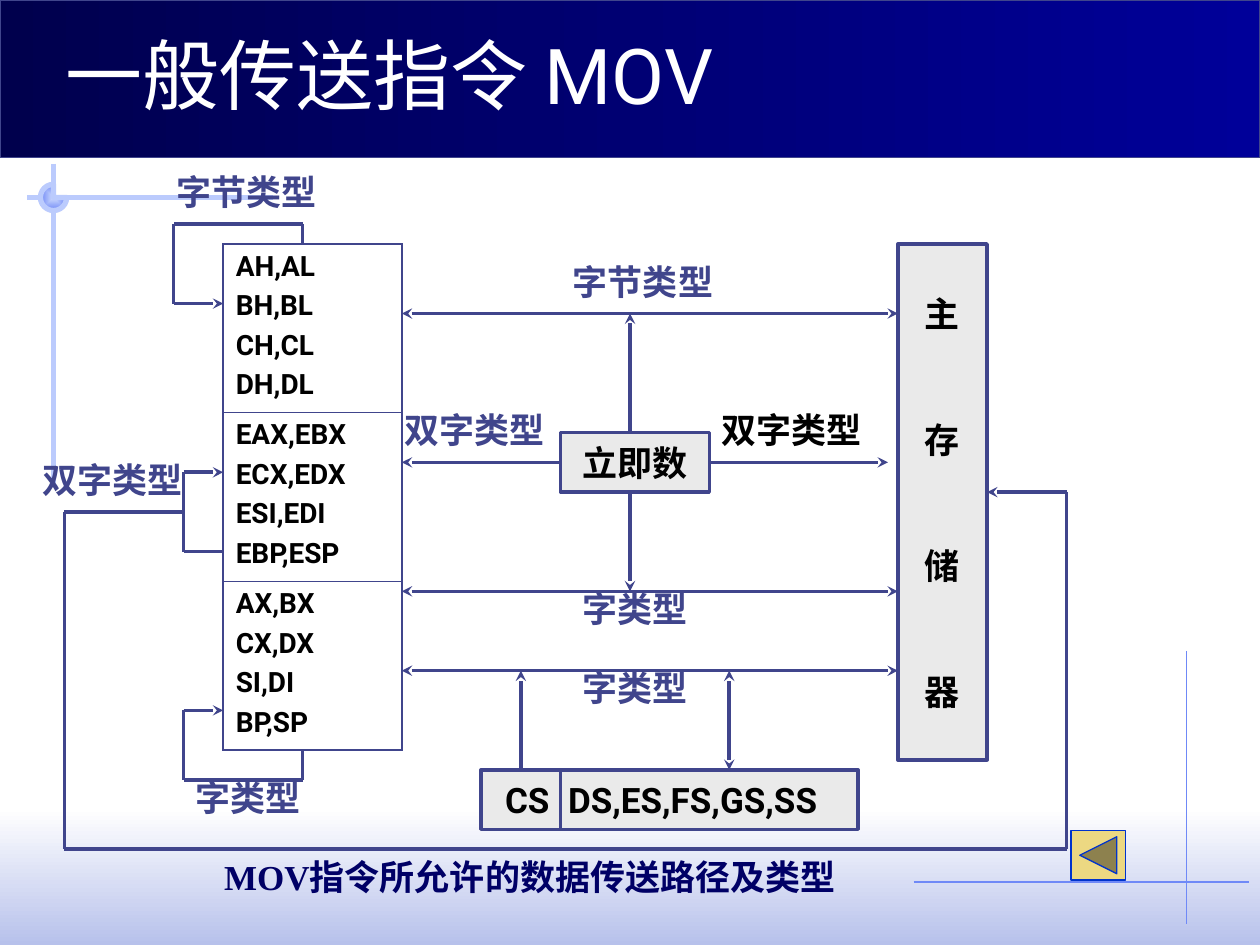
import dataclasses

import lxml.etree
import pptx
import pptx.dml.color
import pptx.enum.shapes
import pptx.enum.text
import pptx.oxml.ns
import pptx.util

COLORS = {
    "ink": "40458C", "black": "000000", "white": "FFFFFF", "caption": "000066",
    "panel": "EAEAEA", "night": "00004D", "navy": "000099", "mist": "B7C1EB",
    "rail": "BBCBFD", "pale": "CFDBFD", "thin": "6F89F7",
    "gold": "ECD882", "button_edge": "0033CC",
}
SHAPE = pptx.enum.shapes.MSO_SHAPE
ALIGN = pptx.enum.text.PP_ALIGN
ANCHOR = pptx.enum.text.MSO_ANCHOR
qn = pptx.oxml.ns.qn


@dataclasses.dataclass
class Grid:
    left: int
    top: int
    column: float
    row: float

    def point(self, x, y):
        return int(self.left + x * self.column), int(self.top + y * self.row)

    def box(self, x, y, width, height):
        return *self.point(x, y), int(width * self.column), int(height * self.row)


def rgb(name):
    return pptx.dml.color.RGBColor.from_string(COLORS[name])


def add_xml(parent, tag, **attributes):
    return lxml.etree.SubElement(parent, qn(tag), attributes)


def write(frame, lines, size=20, color="black", font="Roboto", bold=True, align=ALIGN.LEFT,
          anchor=ANCHOR.TOP, wrap=False, before=0, pitch=None, left=0.1, tab=None):
    frame.auto_size = pptx.enum.text.MSO_AUTO_SIZE.NONE
    frame.word_wrap = wrap
    frame.vertical_anchor = anchor
    frame.margin_left = pptx.util.Inches(left)
    for index, line in enumerate(lines):
        paragraph = frame.paragraphs[0] if index == 0 else frame.add_paragraph()
        paragraph.text = line
        paragraph.alignment = align
        paragraph.space_before = pptx.util.Pt(before if index else 0)
        if pitch:
            paragraph.line_spacing = pptx.util.Pt(pitch)
        properties = paragraph._p.get_or_add_pPr()
        properties.set("marL", "0")
        properties.set("indent", "0")
        add_xml(properties, "a:buNone")
        if tab:
            add_xml(add_xml(properties, "a:tabLst"), "a:tab", pos=str(pptx.util.Inches(tab)), algn="l")
        for run in paragraph.runs:
            run.font.name = font
            run.font.size = pptx.util.Pt(size)
            run.font.bold = bold
            run.font.color.rgb = rgb(color)


def add_panel(slide, box, fill, line=None, width=2, kind=SHAPE.RECTANGLE, angle=0, centred=False):
    panel = slide.shapes.add_shape(kind, *box)
    panel.shadow.inherit = False
    if isinstance(fill, tuple):
        panel.fill.gradient()
        panel.fill.gradient_angle = angle
        for stop, color in zip(panel.fill.gradient_stops, fill):
            stop.color.rgb = rgb(color)
        if centred:
            gradient = panel._element.spPr.find(qn("a:gradFill"))
            gradient.remove(gradient.find(qn("a:lin")))
            add_xml(add_xml(gradient, "a:path", path="rect"), "a:fillToRect",
                    **dict.fromkeys("ltrb", "50000"))
    else:
        panel.fill.solid()
        panel.fill.fore_color.rgb = rgb(fill)
    if line:
        panel.line.color.rgb = rgb(line)
        panel.line.width = pptx.util.Pt(width)
    else:
        panel.line.fill.background()
    return panel


def add_route(slide, grid, points, color="ink", width=2, start=False, end=False):
    last = len(points) - 2
    for index, (here, there) in enumerate(zip(points, points[1:])):
        connector = slide.shapes.add_connector(
            pptx.enum.shapes.MSO_CONNECTOR.STRAIGHT, *grid.point(*here), *grid.point(*there))
        connector.line.color.rgb = rgb(color)
        connector.line.width = pptx.util.Pt(width)
        outline = connector.line._get_or_add_ln()
        if start and index == 0:
            add_xml(outline, "a:headEnd", type="stealth")
        if end and index == last:
            add_xml(outline, "a:tailEnd", type="stealth")
        add_xml(connector._element.spPr, "a:effectLst")


def add_backdrop(slide, page):
    add_panel(slide, page.box(0, 77, 120, 13), ("white", "mist"), angle=270)
    add_route(slide, page, [(113, 62), (113, 88)], "thin", 0.75)
    add_route(slide, page, [(26, 18.8), (2.6, 18.8)], "rail", 3)
    add_route(slide, page, [(5.1, 15.6), (5.1, 46)], "rail", 3)
    add_panel(slide, page.box(3.85, 17.55, 2.5, 2.5), ("pale", "thin"), "rail", 3, SHAPE.PIE, centred=True)
    add_panel(slide, page.box(0, 0, 120, 15), ("night", "navy"), "ink", 0.75)
    add_route(slide, page, [(87, 84), (119, 84)], "thin", 0.75)


def place_text(slide, placeholder, box, line, **style):
    placeholder.left, placeholder.top, placeholder.width, placeholder.height = box
    write(placeholder.text_frame, [line], **style)
    slide.shapes._spTree.append(placeholder._element)


def add_registers(slide, box):
    groups = [
        ["AH,AL", "BH,BL", "CH,CL", "DH,DL"],
        ["EAX,EBX", "ECX,EDX", "ESI,EDI", "EBP,ESP"],
        ["AX,BX", "CX,DX", "SI,DI", "BP,SP"],
    ]
    table = slide.shapes.add_table(len(groups), 1, *box).table
    table.first_row = table.horz_banding = False
    for index, registers in enumerate(groups):
        cell = table.cell(index, 0)
        write(cell.text_frame, registers, size=16, before=4, wrap=True)
        inner = {"a:lnT": index > 0, "a:lnB": index < len(groups) - 1}
        properties = cell._tc.get_or_add_tcPr()
        for side in ("a:lnL", "a:lnR", "a:lnT", "a:lnB"):
            width = pptx.util.Pt(0.45 if inner.get(side) else 1.08)
            border = add_xml(properties, side, w=str(width))
            add_xml(add_xml(border, "a:solidFill"), "a:srgbClr", val=COLORS["ink"])
        cell.fill.background()


def add_stores(slide, grid):
    centred = dict(align=ALIGN.CENTER, anchor=ANCHOR.MIDDLE)
    memory = add_panel(slide, grid.box(68, 0, 9, 52), "panel", "ink")
    write(memory.text_frame, list("主存储器"), before=48, pitch=24, **centred)
    immediate = add_panel(slide, grid.box(34, 19, 15, 6), "panel", "ink")
    write(immediate.text_frame, ["立即数"], **centred)
    segments = add_panel(slide, grid.box(26, 53, 38, 6), "panel", "ink")
    write(segments.text_frame, ["CS\tDS,ES,FS,GS,SS"], anchor=ANCHOR.MIDDLE,
          wrap=True, left=0.19, tab=0.63)
    add_route(slide, grid, [(34, 53), (34, 59)], width=1.5)


def add_paths(slide, grid):
    for row in (7, 35, 43):
        add_route(slide, grid, [(18, row), (68, row)], start=True, end=True)
    one_way = [
        [(49, 22), (67, 22)],
        [(34, 22), (18, 22)],
        [(41, 19), (41, 7)],
        [(41, 25), (41, 35)],
        [(30, 53), (30, 43)],
        [(8, 0), (8, -2), (-5, -2), (-5, 6), (0, 6)],
        [(0, 31), (-4, 31), (-4, 23), (0, 23)],
        [(-4, 27), (-16, 27), (-16, 61), (85, 61), (85, 25), (77, 25)],
        [(8, 51), (8, 54), (-4, 54), (-4, 47), (0, 47)],
    ]
    for points in one_way:
        add_route(slide, grid, points, end=True)
    add_route(slide, grid, [(51, 53), (51, 43)], start=True, end=True)


def add_labels(slide, grid):
    labels = [
        ("双字类型", 49, 16, "black"), ("双字类型", 17, 16, "ink"),
        ("字节类型", 34, 1, "ink"), ("字类型", 35, 34, "ink"),
        ("字类型", 35, 42, "ink"), ("字节类型", -6, -8, "ink"),
        ("双字类型", -19.5, 21, "ink"), ("字类型", -4, 53, "ink"),
    ]
    for text, x, y, color in labels:
        label = slide.shapes.add_textbox(*grid.box(x, y, 2.5 + 3.53 * len(text), 5.6))
        write(label.text_frame, [text], color=color)


def add_diagram(slide, grid):
    add_registers(slide, grid.box(0, 0, 18, 51))
    add_stores(slide, grid)
    add_paths(slide, grid)
    add_labels(slide, grid)


def main():
    deck = pptx.Presentation()
    deck.slide_width, deck.slide_height = pptx.util.Inches(10), pptx.util.Inches(7.5)
    slide = deck.slides.add_slide(deck.slide_layouts[1])
    title, caption = slide.placeholders
    page = Grid(0, 0, deck.slide_width / 120, deck.slide_height / 90)
    diagram = Grid(pptx.util.Mm(45), pptx.util.Mm(49.2), pptx.util.Mm(2), pptx.util.Mm(2))
    add_backdrop(slide, page)
    place_text(slide, title, page.box(5, 1, 102, 11), "一般传送指令 MOV", size=44,
               color="white", bold=False, anchor=ANCHOR.BOTTOM, wrap=True)
    place_text(slide, caption, page.box(19.3, 80.9, 66.1, 6.1), "MOV指令所允许的数据传送路径及类型",
               color="caption", font="Times New Roman", wrap=True, left=0.17)
    add_diagram(slide, diagram)
    add_panel(slide, page.box(102, 79.1, 5.2, 4.7), "gold", "button_edge", 0.75,
              SHAPE.ACTION_BUTTON_BACK_OR_PREVIOUS)
    deck.save("out.pptx")


if __name__ == "__main__":
    main()
